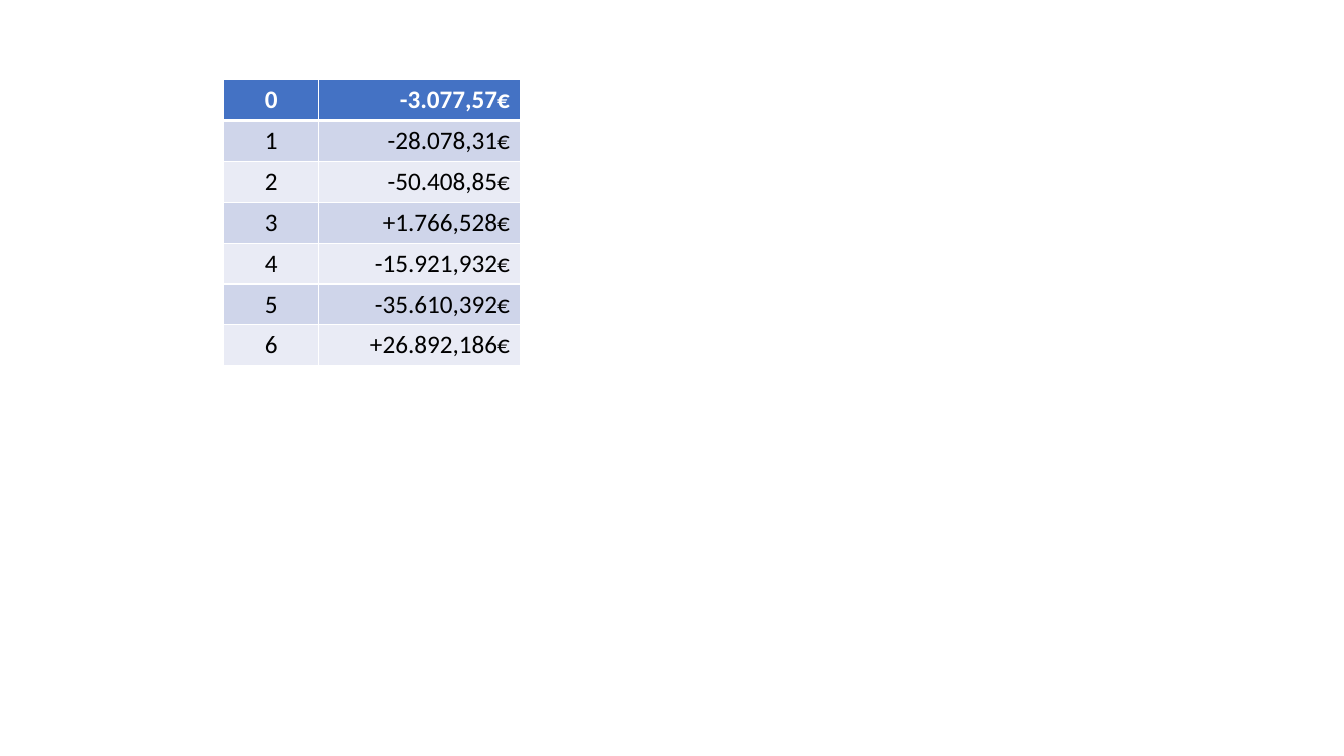
from lxml import etree
from pptx import Presentation
from pptx.dml.color import RGBColor
from pptx.enum.text import PP_ALIGN
from pptx.oxml.ns import qn
from pptx.util import Inches, Pt

CENTER, RIGHT = PP_ALIGN.CENTER, PP_ALIGN.RIGHT

WHITE = RGBColor(0xFF, 0xFF, 0xFF)
BLACK = RGBColor(0x00, 0x00, 0x00)
HEADER_BLUE = RGBColor(0x44, 0x72, 0xC4)
BAND_DARK = RGBColor(0xCF, 0xD5, 0xEA)
BAND_LIGHT = RGBColor(0xE9, 0xEB, 0xF5)

AMOUNTS = ["-3.077,57€", "-28.078,31€", "-50.408,85€", "+1.766,528€",
           "-15.921,932€", "-35.610,392€", "+26.892,186€"]


class SlideBuilder:
    font = "Calibri"
    size = Pt(18)
    thin, thick = Pt(1), Pt(3)

    def __init__(self, slide):
        self.s = slide

    def border(self, cell, side, width):
        tcPr = cell._tc.get_or_add_tcPr()
        ln = etree.SubElement(tcPr, qn(f"a:ln{side}"), w=str(width))
        fill = etree.SubElement(ln, qn("a:solidFill"))
        etree.SubElement(fill, qn("a:srgbClr"), val=str(WHITE))

    def cell(self, cell, text, align, row):
        header = row == 0
        # Borders come before the fill in the cell properties
        for side in "LRTB":
            under_header = (row, side) in ((0, "B"), (1, "T"))
            self.border(cell, side, self.thick if under_header else self.thin)
        cell.fill.solid()
        band = BAND_DARK if row % 2 else BAND_LIGHT
        cell.fill.fore_color.rgb = HEADER_BLUE if header else band
        p = cell.text_frame.paragraphs[0]
        p.alignment = align
        r = p.add_run()
        r.text = text
        r.font.name, r.font.size, r.font.bold = self.font, self.size, header
        r.font.color.rgb = WHITE if header else BLACK

    def table(self, rows, left, top, widths, height, aligns):
        sp = self.s.shapes.add_table(len(rows), len(widths), left, top,
                                     sum(widths), height)
        table = sp.table
        for column, width in zip(table.columns, widths):
            column.width = width
        for i, values in enumerate(rows):
            for j, text in enumerate(values):
                self.cell(table.cell(i, j), text, aligns[j], i)


prs = Presentation()
prs.slide_width, prs.slide_height = Inches(13.33), Inches(7.5)
slide = SlideBuilder(prs.slides.add_slide(prs.slide_layouts[6]))

# Numbered amounts
slide.table([(str(n), amount) for n, amount in enumerate(AMOUNTS)],
            Inches(2.22), Inches(0.79), [Inches(0.94), Inches(2)],
            Inches(2.84), [CENTER, RIGHT])

prs.save("out.pptx")
